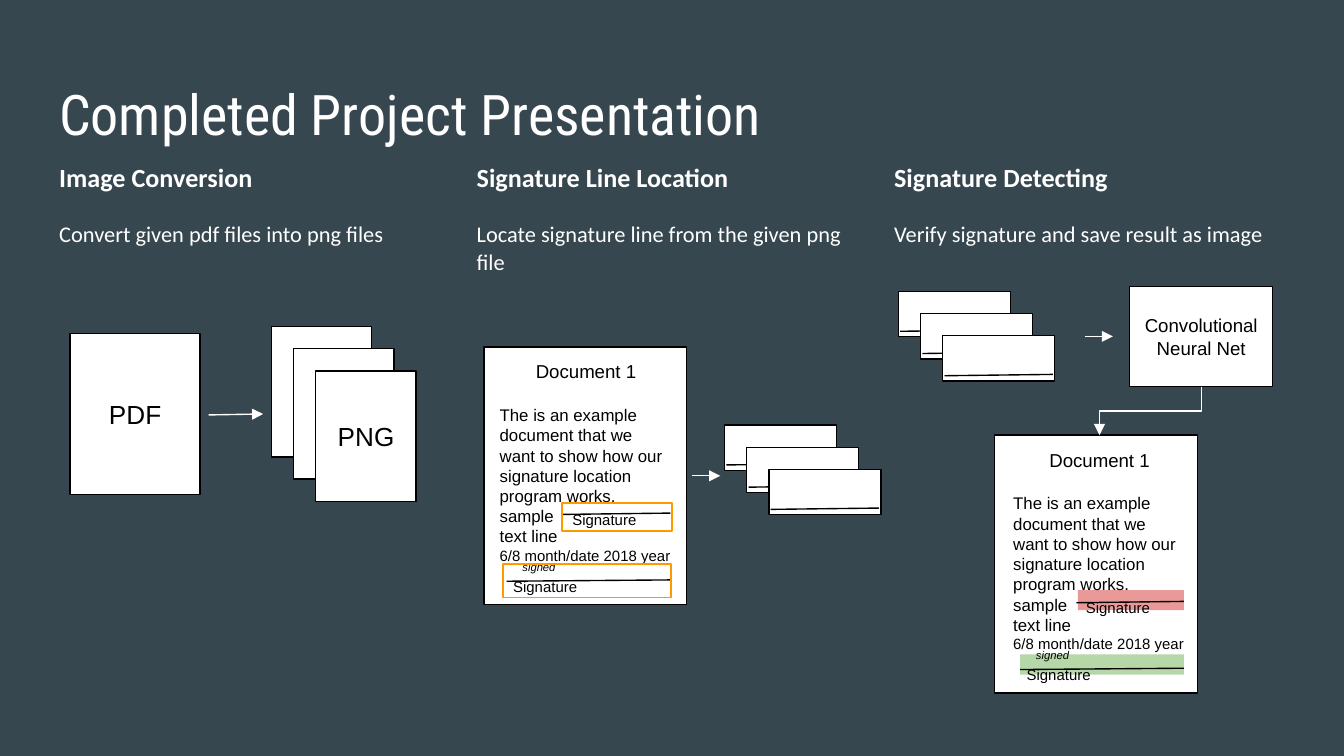
from lxml.etree import SubElement
from pptx import Presentation
from pptx.dml.color import RGBColor
from pptx.enum.shapes import MSO_CONNECTOR, MSO_SHAPE
from pptx.enum.text import MSO_ANCHOR, MSO_AUTO_SIZE, PP_ALIGN
from pptx.oxml.ns import qn
from pptx.util import Pt

SLATE = RGBColor(0x37, 0x47, 0x4F)
WHITE = RGBColor(0xFF, 0xFF, 0xFF)
BLACK = RGBColor(0x00, 0x00, 0x00)
AMBER = RGBColor(0xFF, 0x99, 0x00)
ROSE = RGBColor(0xEA, 0x99, 0x99)
MINT = RGBColor(0xB6, 0xD7, 0xA8)
THIN = 0.75
STEP = 11.9
TASKS = [
    ("Image Conversion", "Convert given pdf files into png files"),
    ("Signature Line Location", "Locate signature line from the given png file"),
    ("Signature Detecting", "Verify signature and save result as image"),
]
PROSE = ("The is an example document that we want to show how our "
         "signature location program works.")


def write(frame, text, size=10, face="Arial", color=BLACK, bold=False,
          italic=False, align=PP_ALIGN.LEFT, gap=0):
    """Add one formatted paragraph to a text frame."""
    para = frame.paragraphs[0]
    if para.text:
        para = frame.add_paragraph()
    para.alignment = align
    para.space_before = Pt(gap)
    run = para.add_run()
    run.text = text
    font = run.font
    font.size, font.name, font.bold, font.italic = Pt(size), face, bold, italic
    font.color.rgb = color


def pad(item):
    """Give a text frame or table cell equal margins."""
    item.margin_left = item.margin_right = Pt(7.2)
    item.margin_top = item.margin_bottom = Pt(7.2)
    item.word_wrap = True


def place(shape, x, y, w, h):
    """Move and size a shape."""
    shape.left, shape.top, shape.width, shape.height = Pt(x), Pt(y), Pt(w), Pt(h)


def box(slide, x, y, w, h, fill=WHITE, edge=BLACK, text="", size=14):
    """Draw a rectangle with an optional centred label."""
    shape = slide.shapes.add_shape(MSO_SHAPE.RECTANGLE, Pt(x), Pt(y), Pt(w), Pt(h))
    shape.shadow.inherit = False
    if fill is None:
        shape.fill.background()
    else:
        shape.fill.solid()
        shape.fill.fore_color.rgb = fill
    if edge is None:
        shape.line.fill.background()
    else:
        shape.line.color.rgb = edge
        shape.line.width = Pt(THIN)
    if text:
        frame = shape.text_frame
        pad(frame)
        frame.vertical_anchor = MSO_ANCHOR.MIDDLE
        write(frame, text, size=size, align=PP_ALIGN.CENTER)


def note(slide, x, y, w, h):
    """Add an empty text box and return its frame."""
    frame = slide.shapes.add_textbox(Pt(x), Pt(y), Pt(w), Pt(h)).text_frame
    pad(frame)
    return frame


def link(slide, x, y, to_x, to_y, color=BLACK, head=False,
         kind=MSO_CONNECTOR.STRAIGHT):
    """Draw a connector, with an arrowhead if asked, and return it."""
    line = slide.shapes.add_connector(kind, Pt(x), Pt(y), Pt(to_x), Pt(to_y))
    line.line.color.rgb = color
    line.line.width = Pt(THIN)
    if head:
        SubElement(line.line._get_or_add_ln(), qn("a:tailEnd"), type="triangle")
    SubElement(line._element.spPr, qn("a:effectLst"))
    return line


def arrow(slide, x, y, to_x, to_y):
    """Draw a straight white arrow."""
    link(slide, x, y, to_x, to_y, color=WHITE, head=True)


def elbow(slide, x, y, to_x, to_y):
    """Draw a white arrow that leaves downwards, then turns left."""
    mid_x, mid_y = (x + to_x) / 2, (y + to_y) / 2
    half_w, half_h = (to_y - y) / 2, (x - to_x) / 2
    line = link(slide, mid_x - half_w, mid_y - half_h, mid_x + half_w,
                mid_y + half_h, color=WHITE, head=True, kind=MSO_CONNECTOR.ELBOW)
    line._element.spPr.find(qn("a:xfrm")).set("rot", "5400000")


def strips(slide, x, y):
    """Draw three stacked signature strips."""
    for i in range(3):
        left, top = x + i * STEP, y + i * STEP
        box(slide, left, top, 60, 24.3)
        link(slide, left + 1, top + 21.4, left + 59, top + 20.7)


def sheet(slide, x, y):
    """Write the sample document with its two signature lines."""
    frame = note(slide, x, y, 106.6, 120.2)
    write(frame, "Document 1", align=PP_ALIGN.CENTER)
    write(frame, PROSE, size=9, gap=11.9)
    for text in ("sample", "text line"):
        write(frame, text, size=9)
    write(frame, "6/8 month/date 2018 year", size=8)
    for left, top, start, wide in ((38.9, 82.8, 41, 49), (7.2, 118.6, 10.8, 75.6)):
        write(note(slide, x + left, y + top, wide, 24.5), "Signature", size=8)
        rule = y + top + 7
        link(slide, x + start, rule, x + 98.6, rule - 0.7)
    write(note(slide, x + 12.2, y + 110.5, 36.7, 15.1), "signed", size=6, italic=True)


def grid(slide):
    """Add the table of the three project steps."""
    table = slide.shapes.add_table(1, 3, Pt(24.5), Pt(79.9), Pt(671), Pt(283.7)).table
    table.first_row = table.horz_banding = False
    for col, cell, (head, body) in zip(table.columns, table.rows[0].cells, TASKS):
        col.width = Pt(223.67)
        pad_cell(cell)
        write(cell.text_frame, head, size=14, face="Calibri", color=WHITE, bold=True)
        write(cell.text_frame, body, size=12, face="Calibri", color=WHITE, gap=14.6)


def pad_cell(cell):
    """Clear the borders and fill of a cell and set its margins."""
    cell.margin_left = cell.margin_right = Pt(7.2)
    cell.margin_top = cell.margin_bottom = Pt(7.2)
    props = cell._tc.get_or_add_tcPr()
    for side in "LRTB":
        SubElement(SubElement(props, qn("a:ln" + side)), qn("a:noFill"))
    cell.fill.background()


def title(slide, text):
    """Place and fill the title."""
    shape = slide.shapes.title
    place(shape, 24.5, 35.3, 671, 45.4)
    frame = shape.text_frame
    pad(frame)
    frame.auto_size = MSO_AUTO_SIZE.NONE
    frame.vertical_anchor = MSO_ANCHOR.TOP
    write(frame, text, size=30, face="Roboto Condensed", color=WHITE)


def main():
    """Build and save the slide."""
    deck = Presentation()
    deck.slide_width, deck.slide_height = Pt(720), Pt(405)
    slide = deck.slides.add_slide(deck.slide_layouts[5])
    slide.background.fill.solid()
    slide.background.fill.fore_color.rgb = SLATE
    title(slide, "Completed Project Presentation")
    grid(slide)

    box(slide, 37.5, 178.6, 69.8, 86.4, text="PDF")
    for i, text in enumerate(("", "", "PNG")):
        box(slide, 145.4 + i * STEP, 175 + i * STEP, 53.8, 69.8, text=text)
    arrow(slide, 111.8, 222.3, 141, 221.8)

    box(slide, 259.2, 185.8, 108.7, 138.2)
    sheet(slide, 260.6, 185.8)
    box(slide, 301, 269.5, 59, 15.1, fill=None, edge=AMBER)
    box(slide, 269.5, 302.2, 90, 18, fill=None, edge=AMBER)
    arrow(slide, 370.6, 254.9, 385.9, 254.9)
    strips(slide, 388.1, 227.7)

    strips(slide, 481.2, 156.1)
    arrow(slide, 581, 180.2, 596.2, 180.2)
    box(slide, 605.2, 153.4, 76.6, 53.8, text="Convolutional Neural Net", size=10)
    box(slide, 532.8, 233.1, 108.7, 138.2)
    box(slide, 577.4, 316.1, 56.9, 10.8, fill=ROSE, edge=None)
    box(slide, 546.5, 350.6, 87.8, 10.8, fill=MINT, edge=None)
    sheet(slide, 535.7, 233.1)
    elbow(slide, 643.6, 207.2, 589, 233.1)
    deck.save("out.pptx")


if __name__ == "__main__":
    main()
